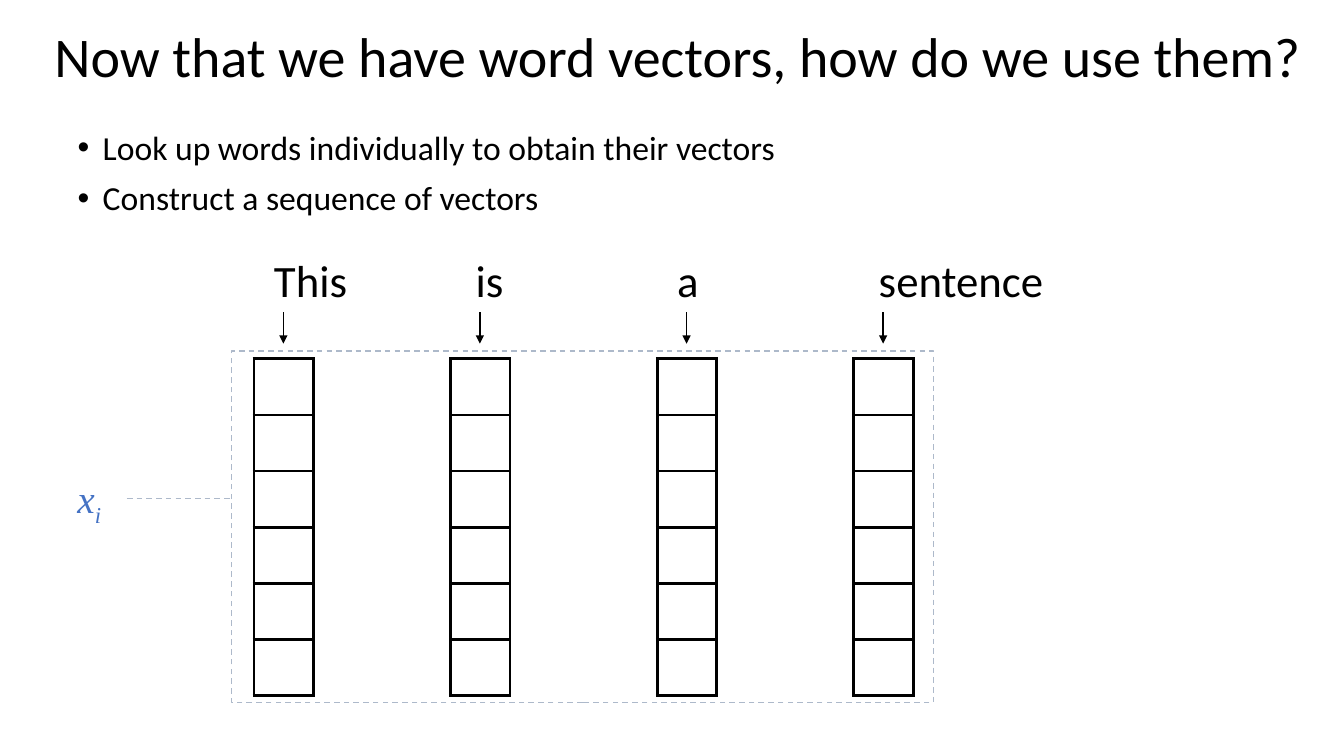
from lxml import etree
from pptx import Presentation
from pptx.dml.color import RGBColor
from pptx.enum.dml import MSO_LINE
from pptx.enum.shapes import MSO_CONNECTOR, MSO_SHAPE
from pptx.enum.text import MSO_ANCHOR, MSO_AUTO_SIZE, PP_ALIGN
from pptx.oxml.ns import qn
from pptx.util import Pt

BLACK = RGBColor(0x00, 0x00, 0x00)
BLUE = RGBColor(0x44, 0x72, 0xC4)
GRAY_BLUE = RGBColor(0xAD, 0xB9, 0xCA)
STRAIGHT = MSO_CONNECTOR.STRAIGHT
RECTANGLE = MSO_SHAPE.RECTANGLE
DASH = MSO_LINE.DASH
TOP = MSO_ANCHOR.TOP
LEFT = PP_ALIGN.LEFT
NO_AUTOFIT = MSO_AUTO_SIZE.NONE

WORDS = ["This", "is", "a", "sentence"]
VECTOR_LEFTS = [181.4, 321.8, 469.4, 609.8]
VECTOR_TOP, VECTOR_ROWS = 256.3, 6
CELL_W, CELL_H = 42.5, 40.1
FRAME_LEFT, LABEL_MID = 165.6, 356


def add_run(p, text, size, color=BLACK, font="Calibri"):
    r = p.add_run()
    r.text = text
    r.font.size = Pt(size)
    r.font.name = font
    r.font.color.rgb = color
    return r


def add_line(x1, y1, x2, y2, color):
    line = s.shapes.add_connector(STRAIGHT, Pt(x1), Pt(y1), Pt(x2), Pt(y2))
    line.line.color.rgb = color
    line.line.width = Pt(1)
    etree.SubElement(line._element.spPr, qn("a:effectLst"))
    return line


prs = Presentation()
prs.slide_width, prs.slide_height = Pt(960), Pt(540)
s = prs.slides.add_slide(prs.slide_layouts[1])

# Title and bullets
title, body = s.placeholders
title.left, title.top, title.width, title.height = Pt(31.7), Pt(17.3), Pt(928), Pt(90)
body.left, body.top, body.width, body.height = Pt(48.2), Pt(90), Pt(864), Pt(76.3)
for sp in (title, body):
    sp.text_frame.auto_size = NO_AUTOFIT
    sp.text_frame.vertical_anchor = TOP

p = title.text_frame.paragraphs[0]
p.alignment = LEFT
p.line_spacing = 0.9
add_run(p, "Now that we have word vectors, how do we use them?", 40)

tf = body.text_frame
bullets = ["Look up words individually to obtain their vectors",
           "Construct a sequence of vectors"]
for i, text in enumerate(bullets):
    p = tf.add_paragraph() if i else tf.paragraphs[0]
    p.line_spacing = 0.9
    p.space_before = Pt(10 if i else 0)
    pPr = p._p.get_or_add_pPr()
    pPr.set("marL", str(Pt(18)))
    pPr.set("indent", str(Pt(-18)))
    bullet = etree.SubElement(pPr, qn("a:buChar"))
    bullet.set("char", "•")
    add_run(p, text, 24)

# Sentence, one tab stop per word
sentence = s.shapes.add_textbox(Pt(188.6), Pt(177.1), Pt(569.5), Pt(46))
sentence.text_frame.word_wrap = True
p = sentence.text_frame.paragraphs[0]
tabs = etree.SubElement(p._p.get_or_add_pPr(), qn("a:tabLst"))
for i in range(1, len(WORDS)):
    tab = etree.SubElement(tabs, qn("a:tab"))
    tab.set("pos", str(Pt(144 * i)))
    tab.set("algn", "l")
add_run(p, "\t".join(WORDS), 32)

# Word vectors, each with an arrow above it
for left in VECTOR_LEFTS:
    vector = s.shapes.add_table(VECTOR_ROWS, 1, Pt(left), Pt(VECTOR_TOP),
                                Pt(CELL_W), Pt(CELL_H * VECTOR_ROWS)).table
    vector.first_row = vector.horz_banding = False
    vector.columns[0].width = Pt(CELL_W)
    for row in vector.rows:
        row.height = Pt(CELL_H)
        cell = row.cells[0]
        tcPr = cell._tc.get_or_add_tcPr()
        for side in ("lnL", "lnR", "lnT", "lnB"):
            border = etree.SubElement(tcPr, qn(f"a:{side}"))
            border.set("w", str(Pt(2.25)))
            fill = etree.SubElement(border, qn("a:solidFill"))
            etree.SubElement(fill, qn("a:srgbClr")).set("val", str(BLACK))
        cell.fill.background()

    middle = left + 21
    arrow = add_line(middle, 223.2, middle, 245.5, BLACK)
    head = etree.SubElement(arrow.line._get_or_add_ln(), qn("a:tailEnd"))
    head.set("type", "triangle")

# Label and frame around the sequence
label = s.shapes.add_textbox(Pt(48.2), Pt(LABEL_MID - 20.5), Pt(42.5), Pt(41))
label.text_frame.word_wrap = True
p = label.text_frame.paragraphs[0]
for text in ("x", "i"):
    r = add_run(p, text, 28, BLUE, "Times New Roman")
    r.font.italic = True
r.font._element.set("baseline", "-25000")

frame = s.shapes.add_shape(RECTANGLE, Pt(FRAME_LEFT), Pt(250.6), Pt(501.1), Pt(251.3))
frame.shadow.inherit = False
frame.fill.background()
frame.line.color.rgb = GRAY_BLUE
frame.line.width = Pt(1)
frame.line.dash_style = DASH

link = add_line(90.7, LABEL_MID, FRAME_LEFT, LABEL_MID, GRAY_BLUE)
link.line.dash_style = DASH
link.begin_connect(label, 3)

prs.save("out.pptx")
